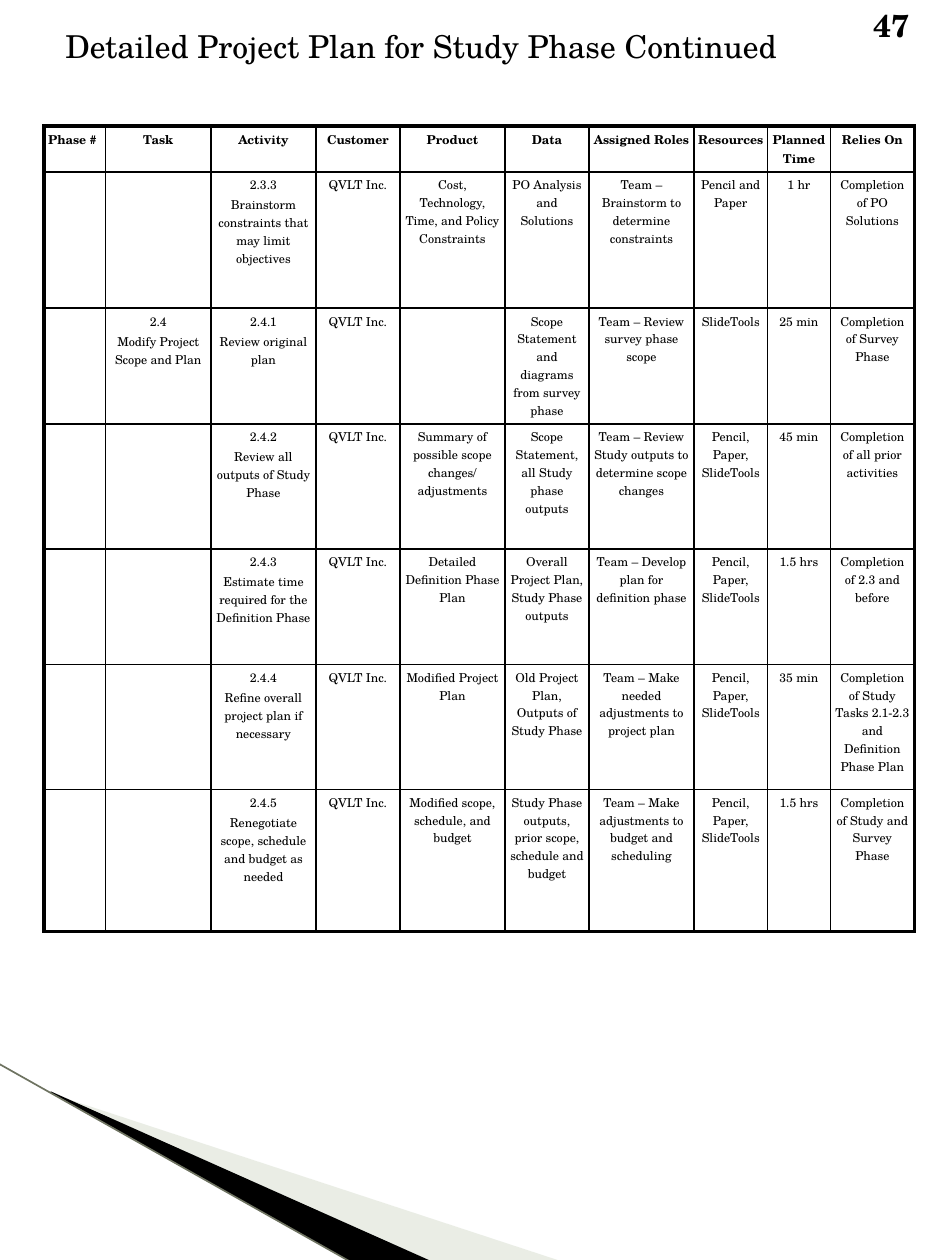
"""Build the detailed project plan slide for the study phase."""
from dataclasses import dataclass

from lxml import etree
from pptx import Presentation
from pptx.dml.color import RGBColor
from pptx.enum.shapes import MSO_CONNECTOR
from pptx.enum.text import MSO_AUTO_SIZE, PP_ALIGN
from pptx.oxml.ns import qn
from pptx.slide import Slide
from pptx.table import _Cell
from pptx.text.text import _Paragraph
from pptx.util import Cm, Pt

FONT = "TeX Gyre Schola"
BLACK = "000000"
SAGE = "CBD4C0"
OLIVE = "6E7361"
INNER, OUTER = 1, 2.25
CUSTOMER = "QVLT Inc."
TOOLS = "Pencil, Paper, SlideTools"


@dataclass
class Activity:
    number: str
    title: str
    product: str
    data: str
    roles: str
    time: str
    relies_on: str
    resources: str = TOOLS
    task: str = ""

    def cells(self) -> list[str]:
        return ["", self.task, f"{self.number}\n{self.title}", CUSTOMER, self.product,
                self.data, self.roles, self.resources, self.time, self.relies_on]


@dataclass
class Wedge:
    points: list[tuple[float, float]]
    color: str
    opacity: int = 100


@dataclass
class Label:
    text: str
    left: float
    top: float
    width: float
    bold: bool = False


HEADINGS = ["Phase #", "Task", "Activity", "Customer", "Product", "Data",
            "Assigned Roles", "Resources", "Planned Time", "Relies On"]
COLUMN_WIDTHS = [1.24, 2.12, 2.12, 1.69, 2.12, 1.69, 2.12, 1.48, 1.27, 1.69]
ROW_HEIGHTS = [0.89, 2.75, 2.33, 2.52, 2.33, 2.52, 2.86]

ACTIVITIES = [
    Activity("2.3.3", "Brainstorm constraints that may limit objectives",
             "Cost, Technology, Time, and Policy Constraints", "PO Analysis and Solutions",
             "Team – Brainstorm to determine constraints", "1 hr",
             "Completion of PO Solutions", resources="Pencil and Paper"),
    Activity("2.4.1", "Review original plan", "",
             "Scope Statement and diagrams from survey phase",
             "Team – Review survey phase scope", "25 min", "Completion of Survey Phase",
             resources="SlideTools", task="2.4\nModify Project Scope and Plan"),
    Activity("2.4.2", "Review all outputs of Study Phase",
             "Summary of possible scope changes/ adjustments",
             "Scope Statement, all Study phase outputs",
             "Team – Review Study outputs to determine scope changes", "45 min",
             "Completion of all prior activities"),
    Activity("2.4.3", "Estimate time required for the Definition Phase",
             "Detailed Definition Phase Plan", "Overall Project Plan, Study Phase outputs",
             "Team – Develop plan for definition phase", "1.5 hrs",
             "Completion of 2.3 and before"),
    Activity("2.4.4", "Refine overall project plan if necessary", "Modified Project Plan",
             "Old Project Plan, Outputs of Study Phase",
             "Team – Make needed adjustments to project plan", "35 min",
             "Completion of Study Tasks 2.1-2.3 and Definition Phase Plan"),
    Activity("2.4.5", "Renegotiate scope, schedule and budget as needed",
             "Modified scope, schedule, and budget",
             "Study Phase outputs, prior scope, schedule and budget",
             "Team – Make adjustments to budget and scheduling", "1.5 hrs",
             "Completion of Study and Survey Phase"),
]

WEDGES = [
    Wedge([(1.04, 22.05), (11.33, 25.43), (8.69, 25.43), (1.04, 22.02)], SAGE, 40),
    Wedge([(1.02, 22), (8.71, 25.43), (7.09, 25.45), (1.02, 22.02)], BLACK),
]
LABELS = [
    Label("Detailed Project Plan for Study Phase Continued", 1.07, 0.43, 15.88),
    Label("47", 17.35, 0, 1.47, bold=True),
]


def rgb(color: str) -> RGBColor:
    return RGBColor.from_string(color)


def set_font(paragraph: _Paragraph, size: float, bold: bool) -> None:
    font = paragraph.font
    font.name, font.size, font.bold = FONT, Pt(size), bold
    font.color.rgb = rgb(BLACK)


def draw_wedge(slide: Slide, wedge: Wedge) -> None:
    start, *rest = [(Cm(x), Cm(y)) for x, y in wedge.points]
    builder = slide.shapes.build_freeform(*start)
    builder.add_line_segments(rest, close=True)
    shape = builder.convert_to_shape()
    shape.shadow.inherit = False
    shape.line.fill.background()
    shape.fill.solid()
    shape.fill.fore_color.rgb = rgb(wedge.color)
    if wedge.opacity < 100:
        tint = shape._element.spPr.find(f".//{qn('a:srgbClr')}")
        etree.SubElement(tint, qn("a:alpha"), val=str(wedge.opacity * 1000))


def draw_edge(slide: Slide) -> None:
    edge = slide.shapes.add_connector(
        MSO_CONNECTOR.STRAIGHT, Cm(-0.03), Cm(21.44), Cm(7.09), Cm(25.45))
    edge.line.color.rgb = rgb(OLIVE)
    edge.line.width = Pt(0.95)
    etree.SubElement(edge._element.spPr, qn("a:effectLst"))


def draw_label(slide: Slide, label: Label) -> None:
    box = slide.shapes.add_textbox(Cm(label.left), Cm(label.top), Cm(label.width), Cm(1.02))
    frame = box.text_frame
    frame.word_wrap = True
    frame.auto_size = MSO_AUTO_SIZE.SHAPE_TO_FIT_TEXT
    frame.text = label.text
    set_font(frame.paragraphs[0], 18, label.bold)


def set_borders(cell: _Cell, widths: dict[str, float]) -> None:
    properties = cell._tc.get_or_add_tcPr()
    for index, (side, width) in enumerate(widths.items()):
        border = etree.Element(qn(f"a:{side}"), w=str(Pt(width)))
        fill = etree.SubElement(border, qn("a:solidFill"))
        etree.SubElement(fill, qn("a:srgbClr"), val=BLACK)
        properties.insert(index, border)


def fill_cell(cell: _Cell, text: str, heading: bool, align: PP_ALIGN) -> None:
    cell.fill.background()
    cell.margin_left = cell.margin_right = cell.margin_top = cell.margin_bottom = Cm(0.08)
    cell.text = text
    for index, paragraph in enumerate(cell.text_frame.paragraphs):
        paragraph.alignment = align
        if index:
            paragraph.space_before = Pt(1.4)
        set_font(paragraph, 7, heading)


def draw_plan(slide: Slide) -> None:
    rows = [HEADINGS] + [activity.cells() for activity in ACTIVITIES]
    last_row, last_column = len(rows) - 1, len(HEADINGS) - 1
    plan = slide.shapes.add_table(
        len(rows), len(HEADINGS), Cm(0.89), Cm(2.54),
        Cm(sum(COLUMN_WIDTHS)), Cm(sum(ROW_HEIGHTS))).table
    plan.first_row = plan.horz_banding = False
    for column, width in zip(plan.columns, COLUMN_WIDTHS):
        column.width = Cm(width)
    for row, height in zip(plan.rows, ROW_HEIGHTS):
        row.height = Cm(height)
    for r, texts in enumerate(rows):
        for c, text in enumerate(texts):
            cell = plan.cell(r, c)
            fill_cell(cell, text, r == 0, PP_ALIGN.CENTER if c else PP_ALIGN.LEFT)
            set_borders(cell, {
                "lnL": OUTER if c == 0 else INNER,
                "lnR": OUTER if c == last_column else INNER,
                "lnT": OUTER if r == 0 else INNER,
                "lnB": OUTER if r == last_row else INNER,
            })


def main() -> None:
    deck = Presentation()
    deck.slide_width, deck.slide_height = Cm(19.05), Cm(25.4)
    slide = deck.slides.add_slide(deck.slide_layouts[6])
    for wedge in WEDGES:
        draw_wedge(slide, wedge)
    draw_edge(slide)
    draw_plan(slide)
    for label in LABELS:
        draw_label(slide, label)
    deck.save("out.pptx")


if __name__ == "__main__":
    main()
